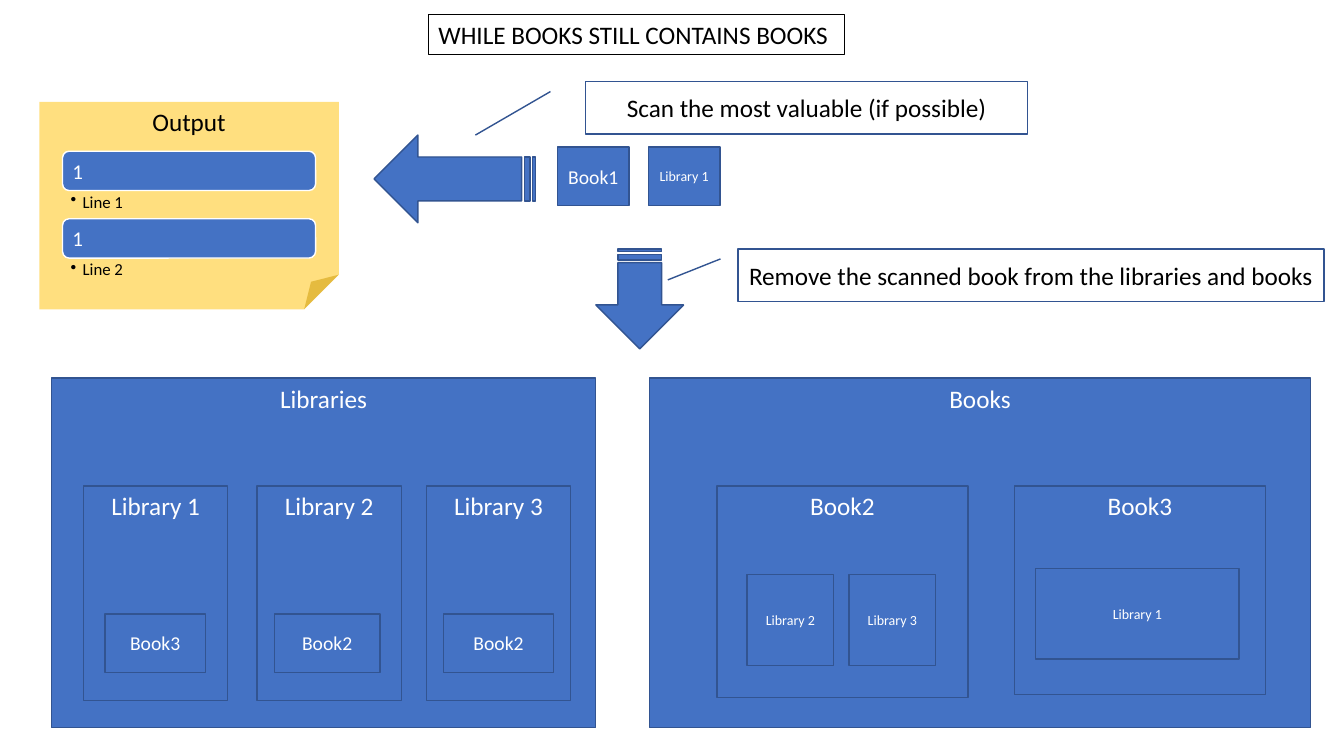
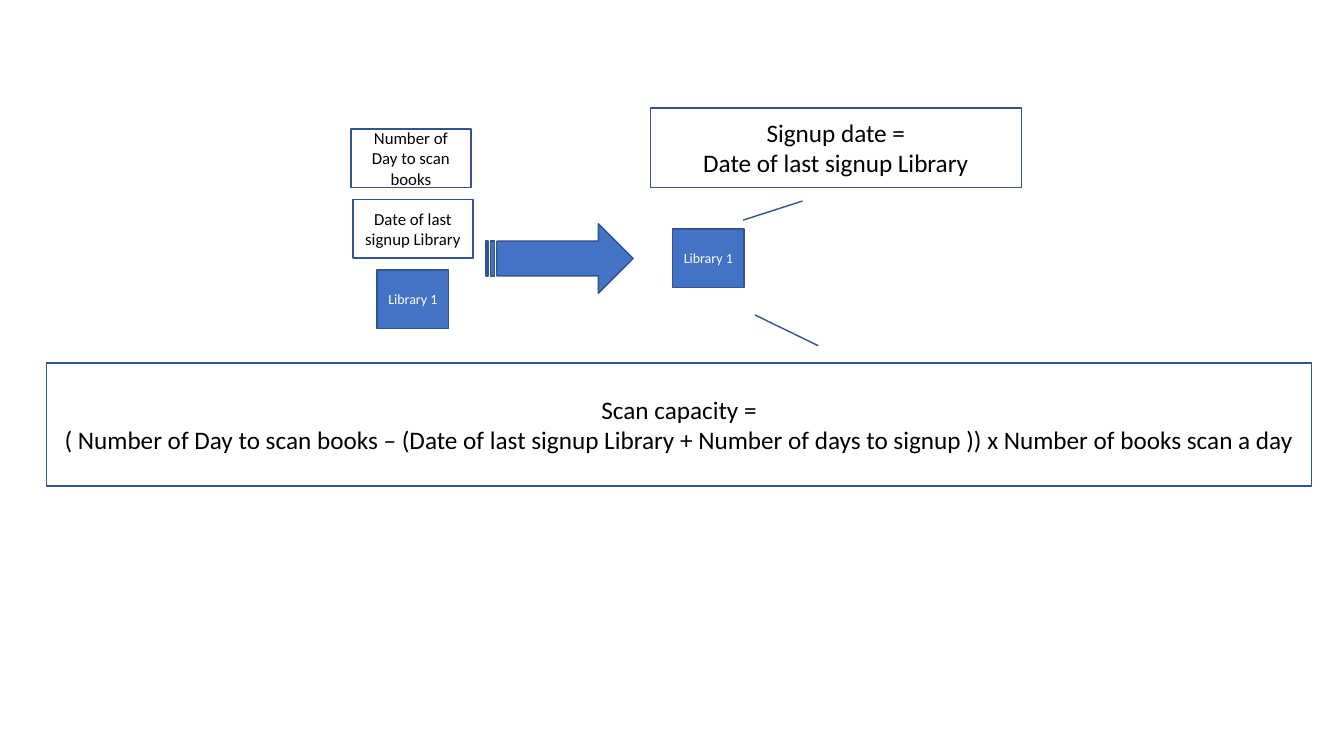
from lxml import etree
from pptx import Presentation
from pptx.dml.color import RGBColor
from pptx.enum.shapes import MSO_SHAPE as Shape
from pptx.enum.text import MSO_ANCHOR as Anchor, PP_ALIGN as Align
from pptx.oxml.ns import qn
from pptx.util import Inches, Pt

BLUE, EDGE, YELLOW = "4472C4", "325491", "FFC000"
WHITE, BLACK = "FFFFFF", "000000"
FONT = "Calibri"


def rgb(value):
    return RGBColor.from_string(value)


def add_box(page, place, text="", size=18, kind=Shape.RECTANGLE, fill=BLUE, line=EDGE,
            color=WHITE, anchor=Anchor.MIDDLE, align=Align.CENTER, weight=1, adjust=()):
    box = page.shapes.add_shape(kind, *[Inches(value) for value in place])
    box.shadow.inherit = False
    for index, value in enumerate(adjust):
        box.adjustments[index] = value
    if fill:
        box.fill.solid()
        box.fill.fore_color.rgb = rgb(fill)
    else:
        box.fill.background()
    if line:
        box.line.color.rgb = rgb(line)
        box.line.width = Pt(weight)
    else:
        box.line.fill.background()
    frame = box.text_frame
    frame.word_wrap = True
    frame.vertical_anchor = anchor
    if text:
        para = frame.paragraphs[0]
        para.text = text
        para.alignment = align
        for span in para.runs:
            for name, value in {"name": FONT, "size": Pt(size)}.items():
                setattr(span.font, name, value)
            span.font.color.rgb = rgb(color)
    return box


deck = Presentation()
deck.slide_width, deck.slide_height = Inches(13.33), Inches(7.5)
loop_page, signup_page = [deck.slides.add_slide(deck.slide_layouts[6]) for _ in range(2)]

outline = {"fill": None, "color": BLACK}
callout = {**outline, "kind": Shape.LINE_CALLOUT_1}
header = {"anchor": Anchor.TOP}
arrow = {"kind": Shape.STRIPED_RIGHT_ARROW}

add_box(loop_page, (4.25, 0.14, 4.13, 0.4), "WHILE BOOKS STILL CONTAINS BOOKS",
        line=BLACK, weight=0.75, fill=None, color=BLACK, anchor=Anchor.TOP, align=Align.LEFT)
add_box(loop_page, (5.81, 0.81, 4.38, 0.52), "Scan the most valuable (if possible)",
        adjust=(0.19, -0.08, 1.02, -0.25), **callout)
add_box(loop_page, (7.32, 2.47, 5.81, 0.52),
        "Remove the scanned book from the libraries and books",
        adjust=(0.19, -0.03, 0.59, -0.12), **callout)

for left, text, size in [(5.53, "Book1", 14), (6.43, "Library 1", 10)]:
    add_box(loop_page, (left, 1.46, 0.71, 0.58), text, size)
for place, angle in [((3.71, 1.34, 1.6, 0.87), 180), ((5.85, 2.53, 0.99, 0.87), 90)]:
    add_box(loop_page, place, **arrow).rotation = angle

note = add_box(loop_page, (0.39, 1.01, 2.97, 2.06), "Output", kind=Shape.FOLDED_CORNER,
               fill=YELLOW, line=None, color=BLACK, **header)
note_color = note.fill._xPr.find(qn("a:solidFill"))[0]
etree.SubElement(note_color, qn("a:alpha"), val="50000")

for row, text in enumerate(["Line 1", "Line 2"]):
    top = 1.5 + row * 0.67
    bar = add_box(loop_page, (0.62, top, 2.51, 0.39), "1", 15, Shape.ROUNDED_RECTANGLE,
                  line=WHITE, align=Align.LEFT)
    bar.text_frame.margin_left = Inches(0.08)
    entry = loop_page.shapes.add_textbox(Inches(0.62), Inches(top + 0.4), Inches(2.51), Inches(0.27))
    frame = entry.text_frame
    frame.word_wrap = True
    for name, value in {"left": 0.08, "top": 0.02, "right": 0.12, "bottom": 0.02}.items():
        setattr(frame, "margin_" + name, Inches(value))
    para = frame.paragraphs[0]
    para.text = text
    para.level = 1
    para.line_spacing = 0.9
    settings = para._p.get_or_add_pPr()
    settings.set("marL", str(Inches(0.12)))
    settings.set("indent", str(-Inches(0.12)))
    etree.SubElement(settings, qn("a:buChar"), char="•")
    for name, value in {"name": FONT, "size": Pt(12)}.items():
        setattr(para.runs[0].font, name, value)
    para.runs[0].font.color.rgb = rgb(BLACK)

for left, width, text in [(0.51, 5.4, "Libraries"), (6.44, 6.56, "Books")]:
    add_box(loop_page, (left, 3.75, width, 3.47), text, **header)

libraries = [(0.83, "Library 1", 1, "Book3"),
             (2.55, "Library 2", 1.05, "Book2"),
             (4.23, "Library 3", 1.09, "Book2")]
for left, library, width, book in libraries:
    add_box(loop_page, (left, 4.82, 1.43, 2.13), library, **header)
    add_box(loop_page, (left + (0.21 if width == 1 else 0.17), 6.09, width, 0.58), book, 14)

books = [(7.11, 2.1, "Book2", 5.7, [(7.41, 0.86, "Library 2"), (8.42, 0.86, "Library 3")]),
         (10.06, 2.07, "Book3", 5.64, [(10.27, 2.02, "Library 1")])]
for left, height, book, top, holders in books:
    add_box(loop_page, (left, 4.82, 2.49, height), book, **header)
    for holder_left, width, library in holders:
        add_box(loop_page, (holder_left, top, width, 0.9), library, 10)

for left, top in [(3.74, 2.68), (6.67, 2.27)]:
    add_box(signup_page, (left, top, 0.71, 0.58), "Library 1", 10)
add_box(signup_page, (4.82, 2.22, 1.46, 0.69), **arrow)
for left, top, text in [(3.5, 1.98, "Date of last signup Library"),
                        (3.48, 1.28, "Number of Day to scan books")]:
    add_box(signup_page, (left, top, 1.19, 0.58), text, 12, **outline)
add_box(signup_page, (6.45, 1.07, 3.68, 0.79), "Signup date =\nDate of last signup Library",
        adjust=(1.17, 0.41, 1.41, 0.25), **callout)
add_box(signup_page, (0.46, 3.6, 12.55, 1.22),
        "Scan capacity =\n( Number of Day to scan books – (Date of last signup Library "
        "+ Number of days to signup )) x Number of books scan a day",
        adjust=(-0.14, 0.61, -0.39, 0.56), **callout)

deck.save("out.pptx")
